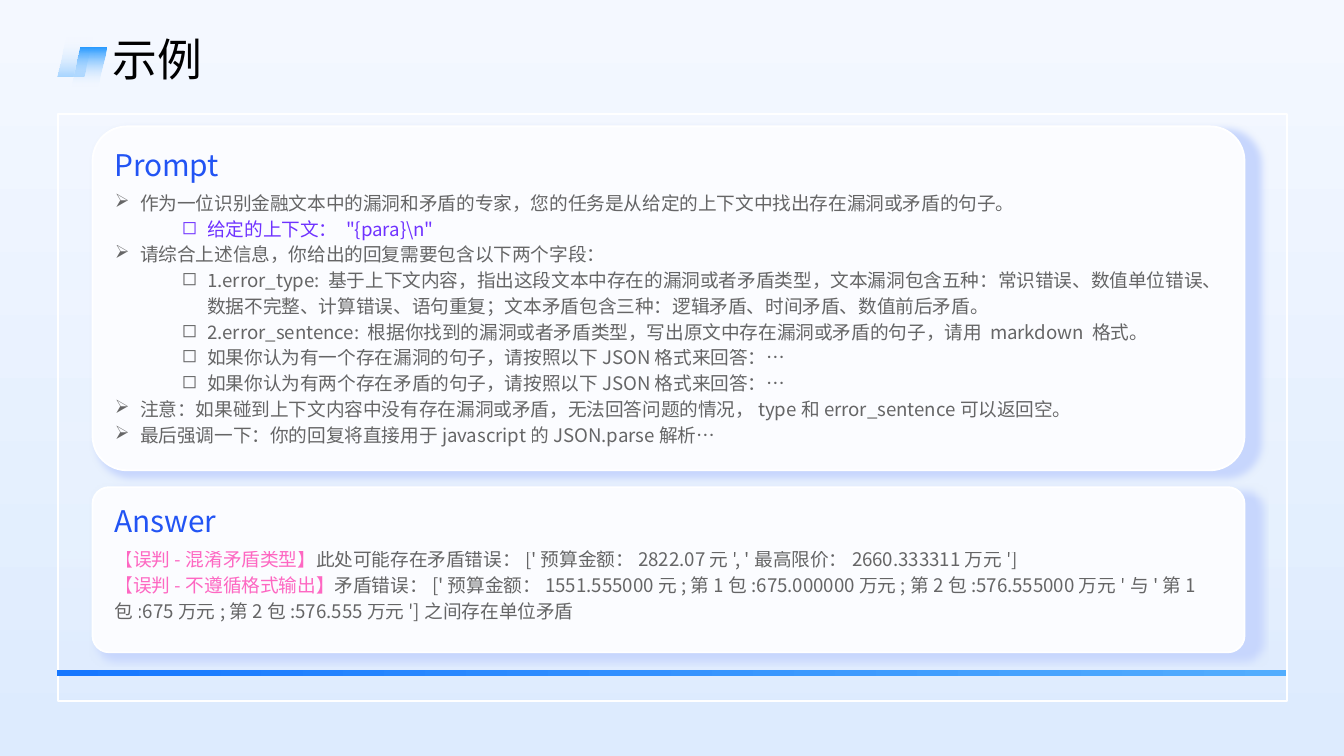
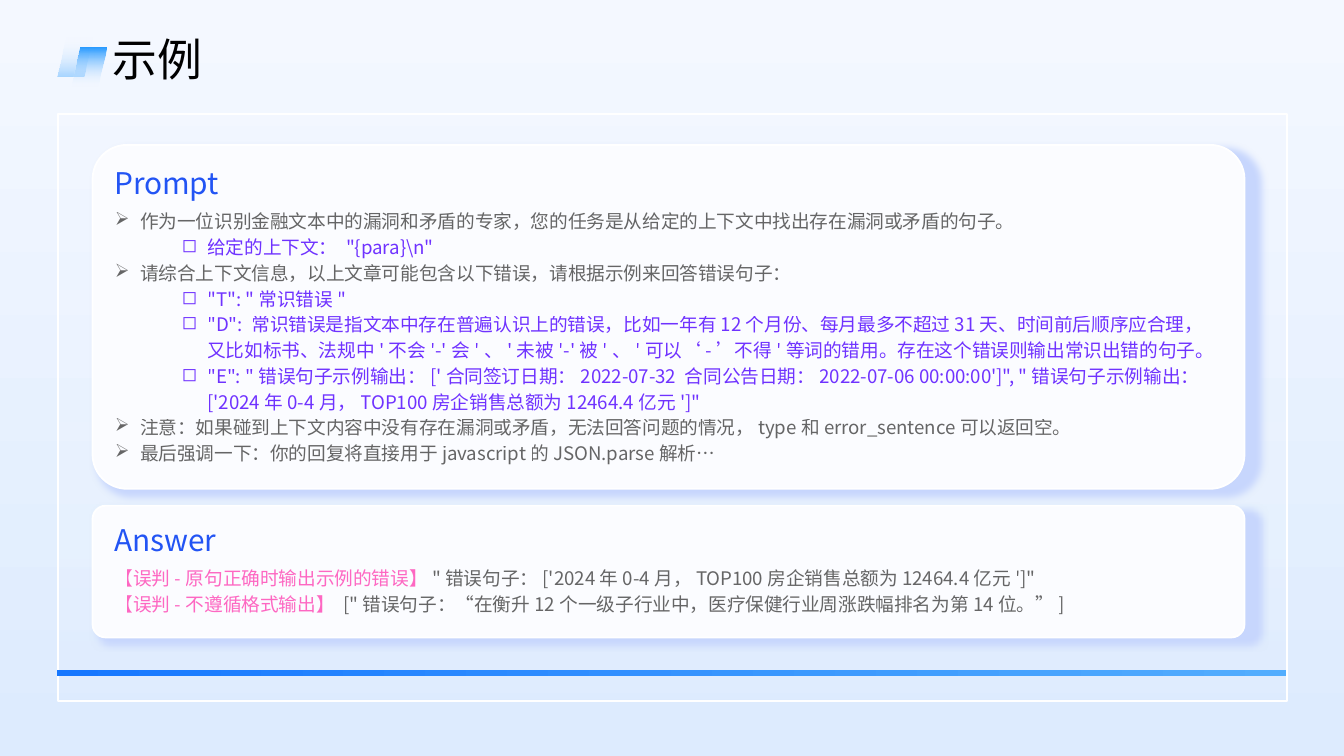
"""Build two example slides, each with a prompt card and an answer card."""
import pptx
import pptx.dml.color
import pptx.enum.shapes
import pptx.enum.text
import pptx.oxml
import pptx.oxml.ns
import pptx.util
from lxml import etree

Cm = pptx.util.Cm
Pt = pptx.util.Pt
RGBColor = pptx.dml.color.RGBColor
MSO_SHAPE = pptx.enum.shapes.MSO_SHAPE
qn = pptx.oxml.ns.qn

BLACK = RGBColor(0x00, 0x00, 0x00)
WHITE = RGBColor(0xFF, 0xFF, 0xFF)
CARD = RGBColor(0xFB, 0xFC, 0xFF)
CARD_SHADOW = RGBColor(0xC7, 0xD6, 0xFD)
PALE = RGBColor(0xF4, 0xF8, 0xFF)
SKY = RGBColor(0xDD, 0xEB, 0xFE)
ICON_BLUE = RGBColor(0x25, 0x99, 0xFF)
BAR_LIGHT = RGBColor(0x52, 0xAD, 0xFE)
BAR_DARK = RGBColor(0x16, 0x77, 0xFF)
HEADING = RGBColor(0x22, 0x54, 0xF4)
GREY = RGBColor(0x40, 0x40, 0x40)
PURPLE = RGBColor(0x4D, 0x00, 0xFF)
PINK = RGBColor(0xFF, 0x42, 0xB3)

HEADING_FONT = "Noto Sans CJK JP"
BODY_FONT = "Noto Sans CJK SC"
BULLETS = [("➢", 0.48), ("◻", 1.75)]
HANGING = 0.48

DECORATIONS = [
    (MSO_SHAPE.PARALLELOGRAM, (1.09, 0.71, 0.66, 0.74), 0,
     [(0, PALE, 0), (100, ICON_BLUE, 38)], 270),
    (MSO_SHAPE.PARALLELOGRAM, (1.35, 0.89, 0.66, 0.74), 180,
     [(0, PALE, 0), (100, ICON_BLUE, 100)], 270),
    (MSO_SHAPE.RECTANGLE, (1.09, 2.16, 23.24, 11.1), 0,
     [(1, WHITE, 8), (73, WHITE, 13), (100, WHITE, 0)], 270),
    (MSO_SHAPE.RECTANGLE, (1.07, 12.67, 23.24, 0.11), 0,
     [(0, BAR_LIGHT, 100), (100, BAR_DARK, 100)], 180),
]

OPENING = [
    (0, [("作为一位识别金融文本中的漏洞和矛盾的专家，您的任务是从给定的上下文中找出存在漏洞或矛盾的句子。", GREY)]),
    (1, [('给定的上下文： "{para}\\n"', PURPLE)]),
]
CLOSING = [
    (0, [("注意：如果碰到上下文内容中没有存在漏洞或矛盾，无法回答问题的情况，type和error_sentence可以返回空。", GREY)]),
    (0, [("最后强调一下：你的回复将直接用于javascript的JSON.parse解析…", GREY)]),
]

EXAMPLES = [
    {
        "top": 2.39,
        "answer_height": 3.12,
        "prompt": [
            (0, [("请综合上述信息，你给出的回复需要包含以下两个字段：", GREY)]),
            (1, [("1.error_type: 基于上下文内容，指出这段文本中存在的漏洞或者矛盾类型，"
                  "文本漏洞包含五种：常识错误、数值单位错误、数据不完整、计算错误、语句重复；"
                  "文本矛盾包含三种：逻辑矛盾、时间矛盾、数值前后矛盾。", GREY)]),
            (1, [("2.error_sentence: 根据你找到的漏洞或者矛盾类型，"
                  "写出原文中存在漏洞或矛盾的句子，请用 markdown 格式。", GREY)]),
            (1, [("如果你认为有一个存在漏洞的句子，请按照以下JSON格式来回答：…", GREY)]),
            (1, [("如果你认为有两个存在矛盾的句子，请按照以下JSON格式来回答：…", GREY)]),
        ],
        "answer": [
            (None, [("【误判-混淆矛盾类型】", PINK),
                    ("此处可能存在矛盾错误：['预算金额：2822.07元', '最高限价：2660.333311万元']", GREY)]),
            (None, [("【误判-不遵循格式输出】", PINK),
                    ("矛盾错误：['预算金额：1551.555000元;第1包:675.000000万元;第2包:576.555000万元'"
                     "与'第1包:675万元;第2包:576.555万元']之间存在单位矛盾", GREY)]),
        ],
    },
    {
        "top": 2.74,
        "answer_height": 2.49,
        "prompt": [
            (0, [("请综合上下文信息，以上文章可能包含以下错误，请根据示例来回答错误句子：", GREY)]),
            (1, [('"T": "常识错误"', PURPLE)]),
            (1, [('"D": 常识错误是指文本中存在普遍认识上的错误，比如一年有12个月份、'
                  "每月最多不超过31天、时间前后顺序应合理，又比如标书、法规中'不会'-'会'、"
                  "'未被'-'被'、'可以‘-’不得'等词的错用。存在这个错误则输出常识出错的句子。", PURPLE)]),
            (1, [("\"E\": \"错误句子示例输出：['合同签订日期：2022-07-32 "
                  "合同公告日期：2022-07-06 00:00:00']\", \"错误句子示例输出："
                  "['2024年0-4月，TOP100房企销售总额为12464.4亿元']\"", PURPLE)]),
        ],
        "answer": [
            (None, [("【误判-原句正确时输出示例的错误】", PINK),
                    ("\"错误句子：['2024年0-4月，TOP100房企销售总额为12464.4亿元']\"", GREY)]),
            (None, [("【误判-不遵循格式输出】 ", PINK),
                    ('["错误句子：“在衡升12个一级子行业中，医疗保健行业周涨跌幅排名为第14位。”]', GREY)]),
        ],
    },
]


def paint_gradient(fill, element, stops, angle):
    fill.gradient()
    fill.gradient_angle = angle
    stop_list = next(element.iter(qn("a:gsLst")))
    for old_stop in list(stop_list):
        stop_list.remove(old_stop)
    for position, color, opacity in stops:
        stop = etree.SubElement(stop_list, qn("a:gs"), pos=str(position * 1000))
        rgb = etree.SubElement(stop, qn("a:srgbClr"), val=str(color))
        etree.SubElement(rgb, qn("a:alpha"), val=str(opacity * 1000))


def add_text(slide, box, paragraphs, font_name, size, spacing=1.15, opacity=100, insets=(0, 0.1)):
    shape = slide.shapes.add_textbox(*[Cm(length) for length in box])
    frame = shape.text_frame
    frame.word_wrap = True
    frame.margin_left = frame.margin_right = Cm(insets[0])
    frame.margin_top = frame.margin_bottom = Cm(insets[1])
    for index, (level, runs) in enumerate(paragraphs):
        paragraph = frame.add_paragraph() if index else frame.paragraphs[0]
        paragraph.line_spacing = spacing
        if level is not None:
            bullet, indent = BULLETS[level]
            paragraph.level = level
            properties = paragraph._p.get_or_add_pPr()
            properties.set("marL", str(Cm(indent)))
            properties.set("indent", str(-Cm(HANGING)))
            etree.SubElement(properties, qn("a:buChar"), char=bullet)
        for text, color in runs:
            run = paragraph.add_run()
            run.text = text
            run.font.size = Pt(size)
            run.font.color.rgb = color
            run.font.name = font_name
            properties = run._r.get_or_add_rPr()
            etree.SubElement(properties, qn("a:ea"), typeface=font_name)
            if opacity < 100:
                rgb = next(properties.iter(qn("a:srgbClr")))
                etree.SubElement(rgb, qn("a:alpha"), val=str(opacity * 1000))
    return shape


presentation = pptx.Presentation()
presentation.slide_width = Cm(25.4)
presentation.slide_height = Cm(14.29)

for example in EXAMPLES:
    slide = presentation.slides.add_slide(presentation.slide_layouts[6])
    paint_gradient(slide.background.fill, slide._element, [(0, PALE, 100), (100, SKY, 100)], 270)

    for preset, box, rotation, stops, angle in DECORATIONS:
        shape = slide.shapes.add_shape(preset, *[Cm(length) for length in box])
        shape.shadow.inherit = False
        shape.rotation = rotation
        paint_gradient(shape.fill, shape._element, stops, angle)
        if stops[0][1] == WHITE:
            shape.line.color.rgb = WHITE
            shape.line.width = Pt(1)
        else:
            shape.line.fill.background()

    title = add_text(slide, (2.03, 0.58, 20.52, 1.19), [(None, [("示例", BLACK)])],
                     HEADING_FONT, 24, spacing=0.9, insets=(0.1, 0.05))
    title.text_frame.vertical_anchor = pptx.enum.text.MSO_ANCHOR.MIDDLE

    prompt_top = example["top"]
    answer_top = prompt_top + 6.82
    cards = [
        ("Prompt", prompt_top, 6.5, 0.18, 5.36, OPENING + example["prompt"] + CLOSING),
        ("Answer", answer_top, example["answer_height"], 0.1, 1.85, example["answer"]),
    ]
    for heading, top, height, padding, body_height, body in cards:
        card = slide.shapes.add_shape(MSO_SHAPE.ROUNDED_RECTANGLE, Cm(1.75), Cm(top), Cm(21.77), Cm(height))
        card.adjustments[0] = 0.1
        card.fill.solid()
        card.fill.fore_color.rgb = CARD
        card.line.color.rgb = WHITE
        card.line.width = Pt(1)
        card.shadow.inherit = False
        effects = card._element.spPr.find(qn("a:effectLst"))
        shadow = etree.SubElement(effects, qn("a:outerShdw"), blurRad=str(Pt(4)), dist=str(Pt(3)),
                                  dir="2700000", sx="101000", sy="101000", algn="tl", rotWithShape="0")
        etree.SubElement(shadow, qn("a:srgbClr"), val=str(CARD_SHADOW))

        heading_top = top + padding
        add_text(slide, (2.16, heading_top, 4.7, 0.89), [(None, [(heading, HEADING)])], HEADING_FONT, 16)
        add_text(slide, (2.17, heading_top + 0.89, 20.7, body_height), body, BODY_FONT, 10, opacity=80)

presentation.save("out.pptx")
